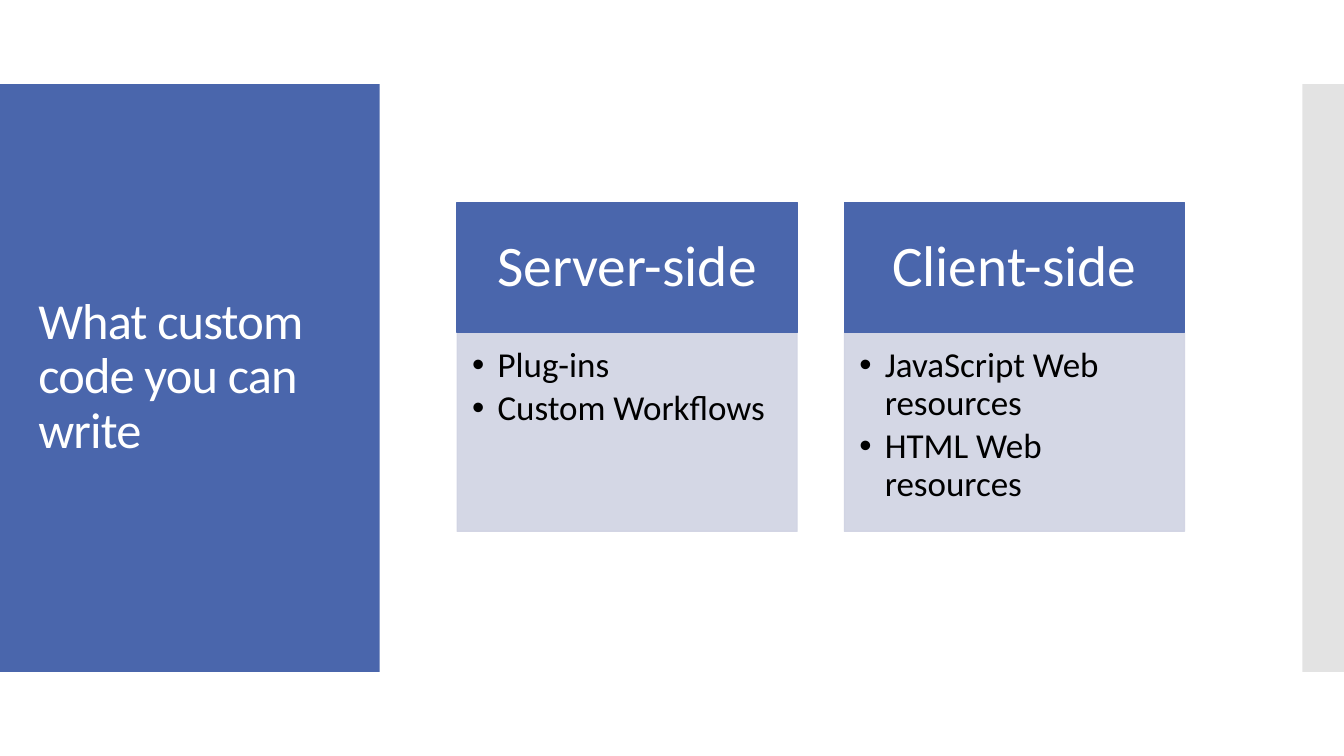
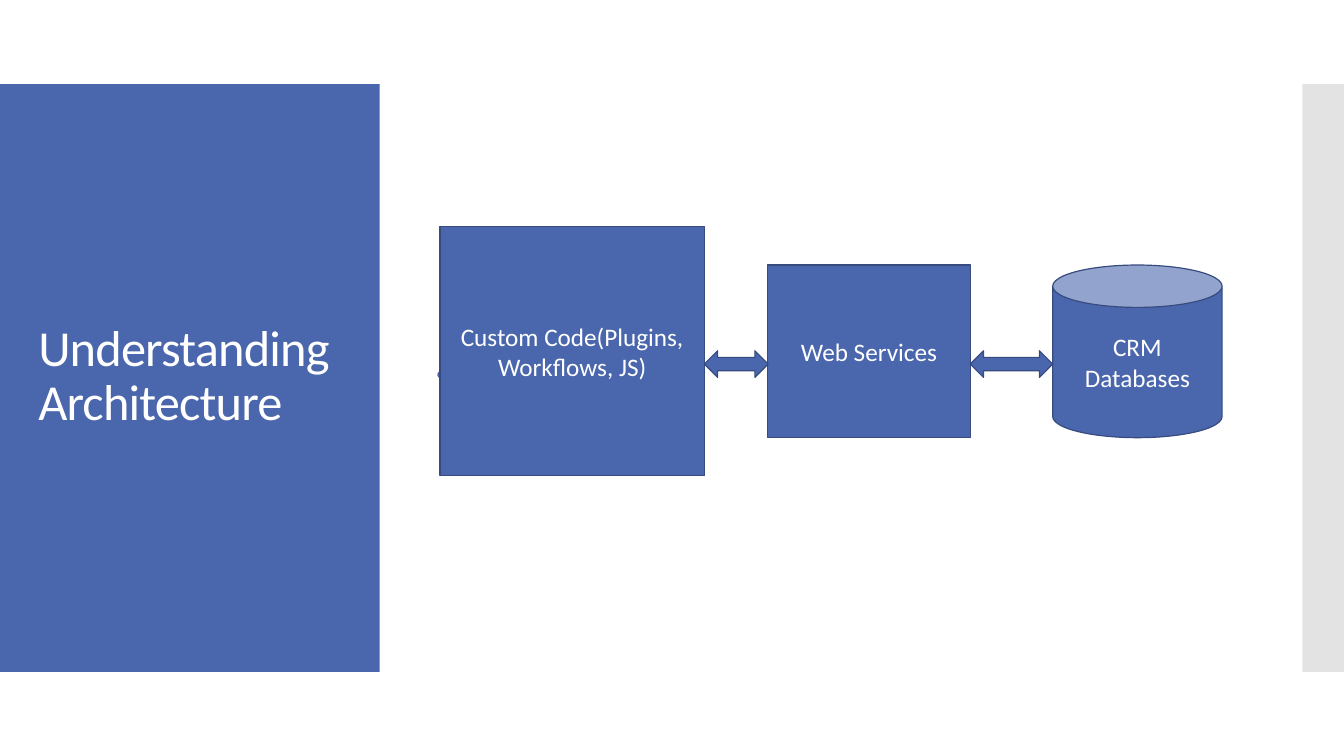
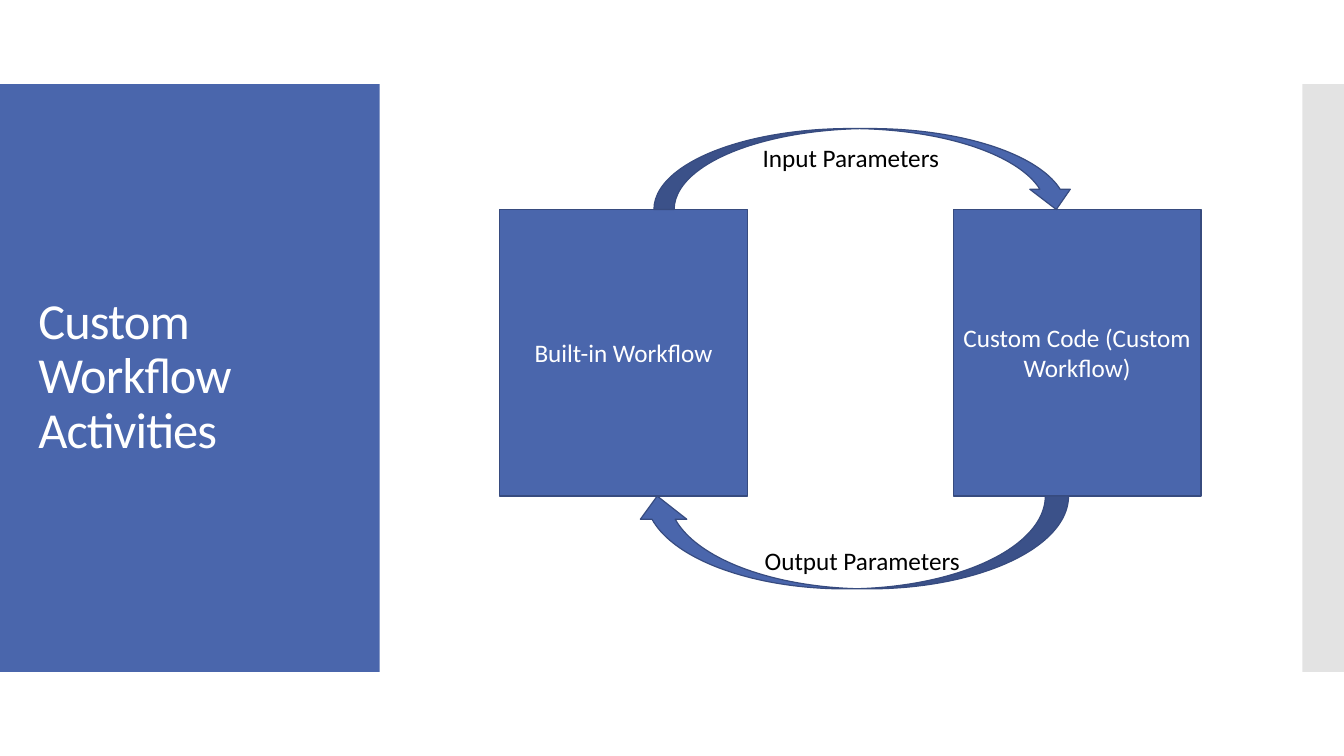
import pptx
import pptx.util
import pptx.dml.color
import pptx.enum.shapes
import pptx.enum.text
import pptx.oxml
import pptx.oxml.ns
import lxml.etree

Cm = pptx.util.Cm
Pt = pptx.util.Pt
RGB = pptx.dml.color.RGBColor.from_string
qn = pptx.oxml.ns.qn
MSO = pptx.enum.shapes.MSO_SHAPE
ALIGN = pptx.enum.text.PP_ALIGN
ANCHOR = pptx.enum.text.MSO_ANCHOR

COLORS = {
    "blue": "4A66AC",
    "outline": "374B7F",
    "band": "C8C8C8",
    "card": "D0D3E3",
    "white": "FFFFFF",
    "black": "000000",
    "grey": "595959",
}
FONT = "Calibri"


def paint(sp, fill, line=None, opacity=100):
    sp.fill.solid()
    sp.fill.fore_color.rgb = RGB(COLORS[fill])
    if line:
        sp.line.color.rgb = RGB(COLORS[line])
        sp.line.width = Pt(0.85)
    else:
        sp.line.fill.background()
    sp.shadow.inherit = False
    if opacity < 100:
        for clr in sp._element.spPr.iter(qn("a:srgbClr")):
            lxml.etree.SubElement(clr, qn("a:alpha")).set("val", str(opacity * 1000))


def write(sp, lines, size, color, align=ALIGN.LEFT, anchor=ANCHOR.MIDDLE,
          spacing=1.0, before=0, after=0, indent=0, bullet="black", track=0):
    tf = sp.text_frame
    tf.word_wrap = True
    tf.auto_size = pptx.enum.text.MSO_AUTO_SIZE.NONE
    tf.vertical_anchor = anchor
    for i, line in enumerate(lines):
        p = tf.add_paragraph() if i else tf.paragraphs[0]
        p.alignment = align
        p.line_spacing = spacing
        p.space_before = Pt(before)
        p.space_after = Pt(after)
        if indent:
            pPr = p._p.get_or_add_pPr()
            pPr.set("marL", str(Cm(indent)))
            pPr.set("indent", str(-Cm(indent)))
            buClr = lxml.etree.SubElement(pPr, qn("a:buClr"))
            lxml.etree.SubElement(buClr, qn("a:srgbClr")).set("val", COLORS[bullet])
            lxml.etree.SubElement(pPr, qn("a:buChar")).set("char", "•")
        r = p.add_run()
        r.text = line
        r.font.name = FONT
        r.font.size = Pt(size)
        r.font.color.rgb = RGB(COLORS[color])
        if track:
            r._r.get_or_add_rPr().set("spc", str(track))


prs = pptx.Presentation()
prs.slide_width = Cm(33.87)
prs.slide_height = Cm(19.05)

slides = []
for layout, title in [
    (3, "What custom code you can write"),
    (1, "Understanding Architecture"),
    (5, "Custom Workflow Activities"),
]:
    s = prs.slides.add_slide(prs.slide_layouts[layout])
    sp = s.shapes.title
    sp.left, sp.top, sp.width, sp.height = Cm(0.71), Cm(3.12), Cm(8.18), Cm(12.78)
    write(sp, [title], 36, "white", spacing=0.9, track=-60)
    slides.append(s)
code_slide, architecture_slide, workflow_slide = slides

master_tree = prs.slide_master.shapes._spTree
for i, (left, width, fill, opacity) in enumerate([
    (0, 9.57, "blue", 100),
    (32.82, 1.05, "band", 50),
]):
    sp = code_slide.shapes.add_shape(MSO.RECTANGLE, Cm(left), Cm(2.12), Cm(width), Cm(14.81))
    paint(sp, fill, opacity=opacity)
    sp._element.nvSpPr.cNvPr.set("id", str(20 + i))
    master_tree.insert(2 + i, sp._element)

s = code_slide
card_w, card_step, card_top, head_h = 8.57, 9.76, 5.1, 3.28
for i, (head, items) in enumerate([
    ("Server-side", ["Plug-ins", "Custom Workflows"]),
    ("Client-side", ["JavaScript Web resources", "HTML Web resources"]),
]):
    left = Cm(11.52 + i * card_step)
    sp = s.shapes.add_shape(MSO.RECTANGLE, left, Cm(card_top), Cm(card_w), Cm(head_h))
    paint(sp, "blue", "blue")
    write(sp, [head], 41, "white", ALIGN.CENTER, spacing=0.9)

    sp = s.placeholders[i + 1]
    sp.left, sp.top, sp.width, sp.height = left, Cm(card_top + head_h), Cm(card_w), Cm(5.01)
    paint(sp, "card", "card", 90)
    tf = sp.text_frame
    tf.margin_left, tf.margin_top = Cm(0.38), Cm(0.38)
    tf.margin_right, tf.margin_bottom = Cm(0.48), Cm(0.56)
    write(sp, items, 25, "black", anchor=ANCHOR.TOP, spacing=0.9, after=3.75, indent=0.64)

sp = architecture_slide.placeholders[1]
sp.left, sp.top, sp.width, sp.height = Cm(10.74), Cm(2.39), Cm(20.32), Cm(14.22)
write(sp, ["("], 20, "grey", spacing=0.9, before=12, indent=0.51, bullet="blue")

for s, kind, left, top, width, height, text in [
    (architecture_slide, MSO.CAN, 26.53, 6.68, 4.27, 4.35, "CRM Databases"),
    (architecture_slide, MSO.RECTANGLE, 11.09, 5.71, 6.66, 6.28,
     "Custom Code(Plugins, Workflows, JS)"),
    (architecture_slide, MSO.RECTANGLE, 19.35, 6.68, 5.1, 4.35, "Web Services"),
    (architecture_slide, MSO.LEFT_RIGHT_ARROW, 17.75, 8.84, 1.61, 0.67, None),
    (architecture_slide, MSO.LEFT_RIGHT_ARROW, 24.45, 8.84, 2.08, 0.67, None),
    (workflow_slide, MSO.RECTANGLE, 12.59, 5.28, 6.25, 7.22, "Built-in Workflow"),
    (workflow_slide, MSO.RECTANGLE, 24.02, 5.28, 6.25, 7.22, "Custom Code (Custom Workflow)"),
    (workflow_slide, MSO.CURVED_DOWN_ARROW, 16.48, 3.24, 10.65, 2.04, None),
    (workflow_slide, MSO.CURVED_UP_ARROW, 15.98, 12.5, 10.95, 2.34, None),
]:
    sp = s.shapes.add_shape(kind, Cm(left), Cm(top), Cm(width), Cm(height))
    paint(sp, "blue", "outline")
    if text:
        write(sp, [text], 18, "white", ALIGN.CENTER)
    if kind == MSO.CURVED_UP_ARROW:
        sp._element.spPr.find(qn("a:xfrm")).set("flipH", "1")

for left, top, width, text in [
    (18.97, 3.45, 5.26, "Input Parameters"),
    (19.02, 13.61, 5.64, "Output Parameters"),
]:
    sp = workflow_slide.shapes.add_textbox(Cm(left), Cm(top), Cm(width), Cm(1.02))
    write(sp, [text], 18, "black", anchor=ANCHOR.TOP)

prs.save("out.pptx")
